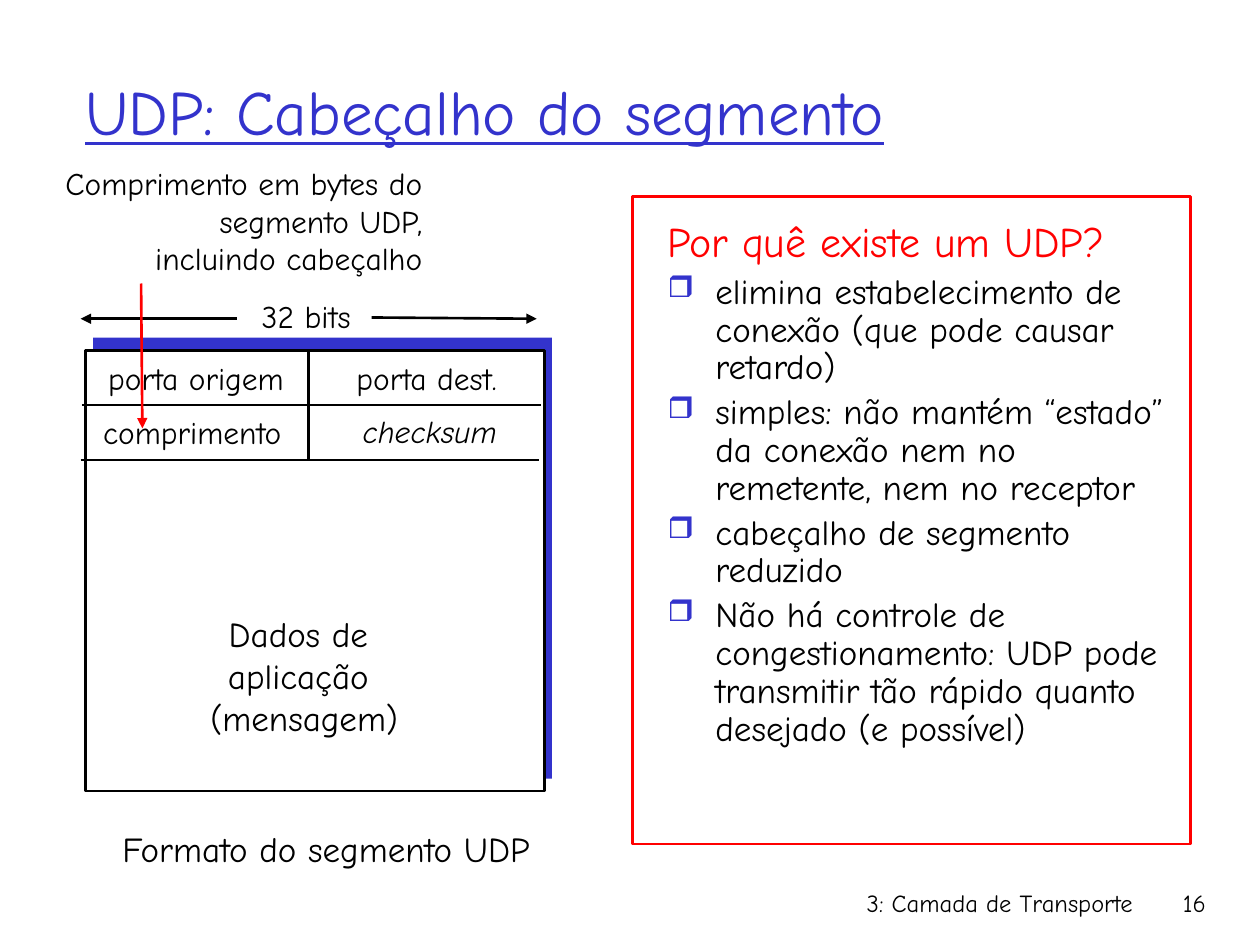
from dataclasses import dataclass

from lxml.etree import SubElement
from pptx import Presentation
from pptx.dml.color import RGBColor
from pptx.enum.shapes import MSO_CONNECTOR as Connector, MSO_SHAPE as Shape
from pptx.enum.text import MSO_ANCHOR as Anchor, PP_ALIGN as Align
from pptx.oxml.ns import qn
from pptx.util import Emu, Pt

PX = 9144  # 100 px to the inch


@dataclass(frozen=True)
class Theme:
    font: str = "Comic Neue"
    blue: str = "3333CC"
    red: str = "FF0000"
    black: str = "000000"
    white: str = "FFFFFF"
    title: int = 36
    heading: int = 24
    body: int = 20
    label: int = 18
    footer: int = 14
    rule: float = 1.5


THEME = Theme()


def px(*lengths):
    return [Emu(round(length * PX)) for length in lengths]


def set_font(font, size, color=THEME.black, **extra):
    values = {"name": THEME.font, "size": Pt(size), "bold": False, **extra}
    for key, value in values.items():
        setattr(font, key, value)
    font.color.rgb = RGBColor.from_string(color)


def add_label(slide, box, lines, size, align=Align.CENTER, wrap=False,
              anchor=Anchor.TOP, **font):
    frame = slide.shapes.add_textbox(*px(*box)).text_frame
    frame.word_wrap = wrap
    frame.vertical_anchor = anchor
    for index, line in enumerate(lines):
        paragraph = frame.paragraphs[0] if index == 0 else frame.add_paragraph()
        paragraph.alignment = align
        run = paragraph.add_run()
        run.text = line
        set_font(run.font, size, **font)


def add_rect(slide, box, fill=None, line=None):
    rect = slide.shapes.add_shape(Shape.RECTANGLE, *px(*box))
    rect.shadow.inherit = False
    if fill:
        rect.fill.solid()
        rect.fill.fore_color.rgb = RGBColor.from_string(fill)
    else:
        rect.fill.background()
    if line:
        rect.line.color.rgb = RGBColor.from_string(line)
        rect.line.width = Pt(THEME.rule)
    else:
        rect.line.fill.background()


def add_rule(slide, start, end, color=THEME.black, arrow=False):
    rule = slide.shapes.add_connector(Connector.STRAIGHT, *px(*start, *end))
    rule.line.color.rgb = RGBColor.from_string(color)
    rule.line.width = Pt(THEME.rule)
    if arrow:
        SubElement(rule.line._get_or_add_ln(), qn("a:tailEnd"), type="triangle")
    SubElement(rule._element.spPr, qn("a:effectLst"))


def set_hanging_bullet(paragraph, indent, bullet=None):
    props = paragraph._p.get_or_add_pPr()
    props.set("marL", str(indent * PX))
    props.set("indent", str(-indent * PX))
    if bullet is None:
        SubElement(props, qn("a:buNone"))
        return
    color = SubElement(props, qn("a:buClr"))
    SubElement(color, qn("a:srgbClr"), val=THEME.blue)
    SubElement(props, qn("a:buSzPct"), val="85000")
    SubElement(props, qn("a:buChar"), char=bullet)


def add_title(slide, box, title):
    add_label(slide, box, [title], THEME.title, Align.LEFT, wrap=True,
              anchor=Anchor.MIDDLE, color=THEME.blue, underline=True)


def add_segment_diagram(slide, box):
    """Draw the UDP segment in the box, with its width and length notes above."""
    left, top, width, height = box
    add_rect(slide, (left + 6, top - 10, width, height), fill=THEME.blue)
    add_rect(slide, box, fill=THEME.white, line=THEME.black)

    divider = left + 177
    row_height = 43.5
    for row, shift in ((1, -3), (2, -4)):
        row_bottom = top + row * row_height
        add_rule(slide, (left + shift, row_bottom), (left + shift + width, row_bottom))
        add_rule(slide, (divider, row_bottom), (divider, row_bottom - row_height))

    fields = (
        ("porta origem", 3, 2, 169, False),
        ("porta dest.", 196, 2, 149, False),
        ("comprimento", 0, 45, 169, False),
        ("checksum", 207, 44, 132, True),
    )
    for name, x, y, field_width, italic in fields:
        add_label(slide, (left + x, top + y, field_width, 40), [name],
                  THEME.label, italic=italic)
    add_label(slide, (left + 88, top + 203, 171, 110),
              ["Dados de ", "aplicação ", "(mensagem)"], THEME.body)
    add_label(slide, (left + 10, top + height + 24, 362, 43),
              ["Formato do segmento UDP"], THEME.body)

    add_label(slide, (left + 123, top - 47, 104, 40), ["32 bits"], THEME.label)
    width_y = top - 25
    add_rule(slide, (left + 227, width_y - 1), (left + 358, width_y), arrow=True)
    add_rule(slide, (left + 120, width_y), (left - 4, width_y), arrow=True)

    add_label(slide, (left - 50, top - 153, 327, 101),
              ["Comprimento em bytes do", "segmento UDP,", "incluindo cabeçalho"],
              THEME.label, Align.RIGHT, wrap=True)
    add_rule(slide, (left + 44, top - 53), (left + 45, top + 62),
             color=THEME.red, arrow=True)


def add_reasons(slide, box, heading, reasons):
    left, top, width, _ = box
    frame = slide.shapes.add_textbox(*px(left + 18, top + 15, width - 26, 418)).text_frame
    frame.word_wrap = True
    for index, line in enumerate([heading, *reasons]):
        is_heading = index == 0
        paragraph = frame.paragraphs[0] if is_heading else frame.add_paragraph()
        paragraph.line_spacing = 0.9
        if not is_heading:
            paragraph.space_before = Pt(4)
        set_hanging_bullet(paragraph, 38, None if is_heading else "❒")
        run = paragraph.add_run()
        run.text = line
        if is_heading:
            set_font(run.font, THEME.heading, THEME.red)
        else:
            set_font(run.font, THEME.body)
    add_rect(slide, box, line=THEME.red)


def add_footer(slide, box, chapter, number):
    left, top, width, height = box
    add_label(slide, (left, top, 317, height), [chapter], THEME.footer,
              Align.RIGHT, wrap=True)
    add_label(slide, (left + width - 74, top, 74, height), [number], THEME.footer,
              Align.RIGHT, wrap=True)


def main():
    deck = Presentation()
    deck.slide_width, deck.slide_height = px(1000, 750)
    slide = deck.slides.add_slide(deck.slide_layouts[6])
    add_title(slide, (58, 25, 850, 125), "UDP: Cabeçalho do segmento")
    add_segment_diagram(slide, (68, 278, 364, 350))
    add_reasons(slide, (502, 156, 443, 514), "Por quê existe um UDP?", [
        "elimina estabelecimento de conexão (que pode causar retardo)",
        "simples: não mantém “estado” da conexão nem no remetente, nem no receptor",
        "cabeçalho de segmento reduzido",
        "Não há controle de congestionamento: UDP pode transmitir tão rápido "
        "quanto desejado (e possível)",
    ])
    add_footer(slide, (592, 700, 375, 50), "3: Camada de Transporte", "16")
    deck.save("out.pptx")


if __name__ == "__main__":
    main()
